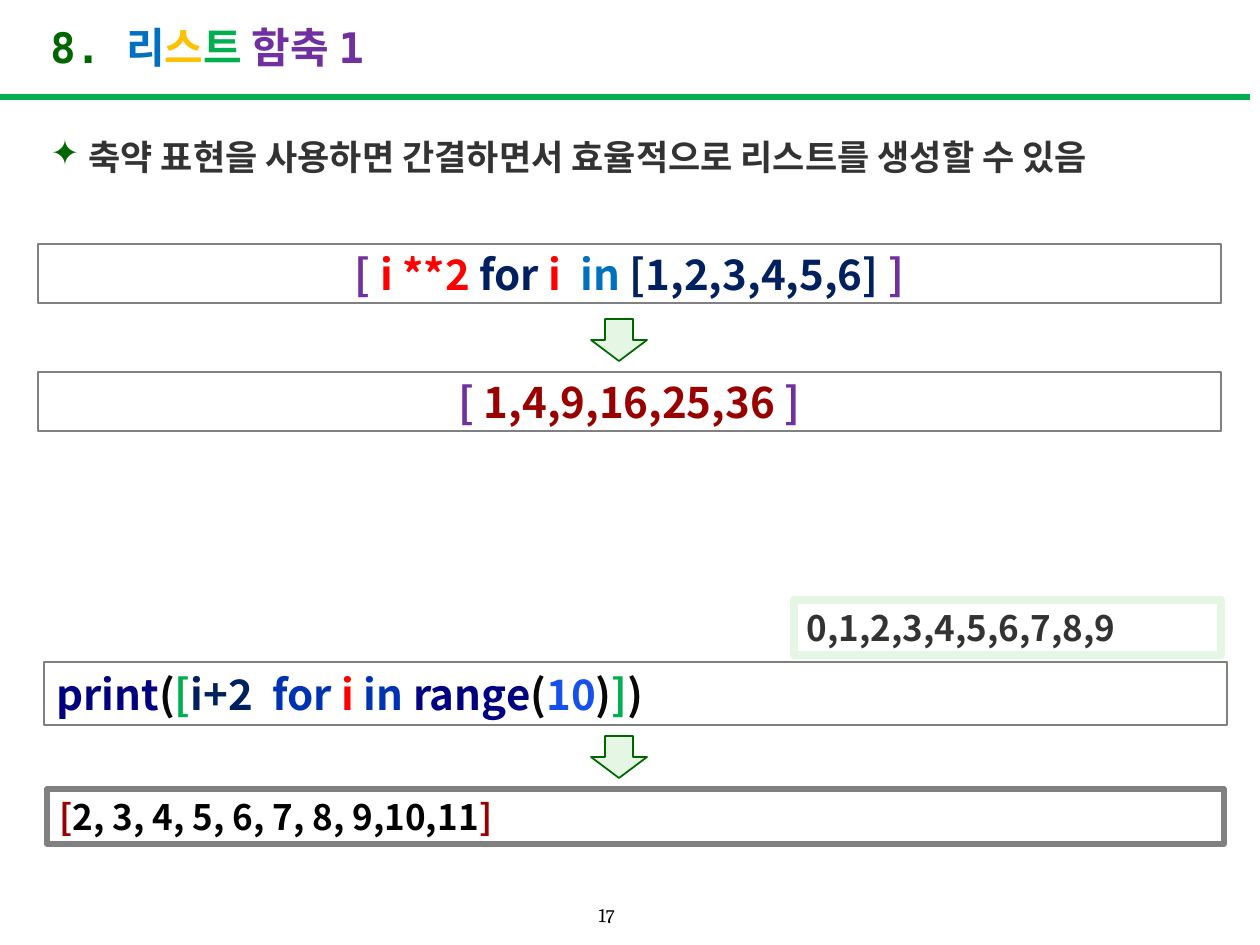
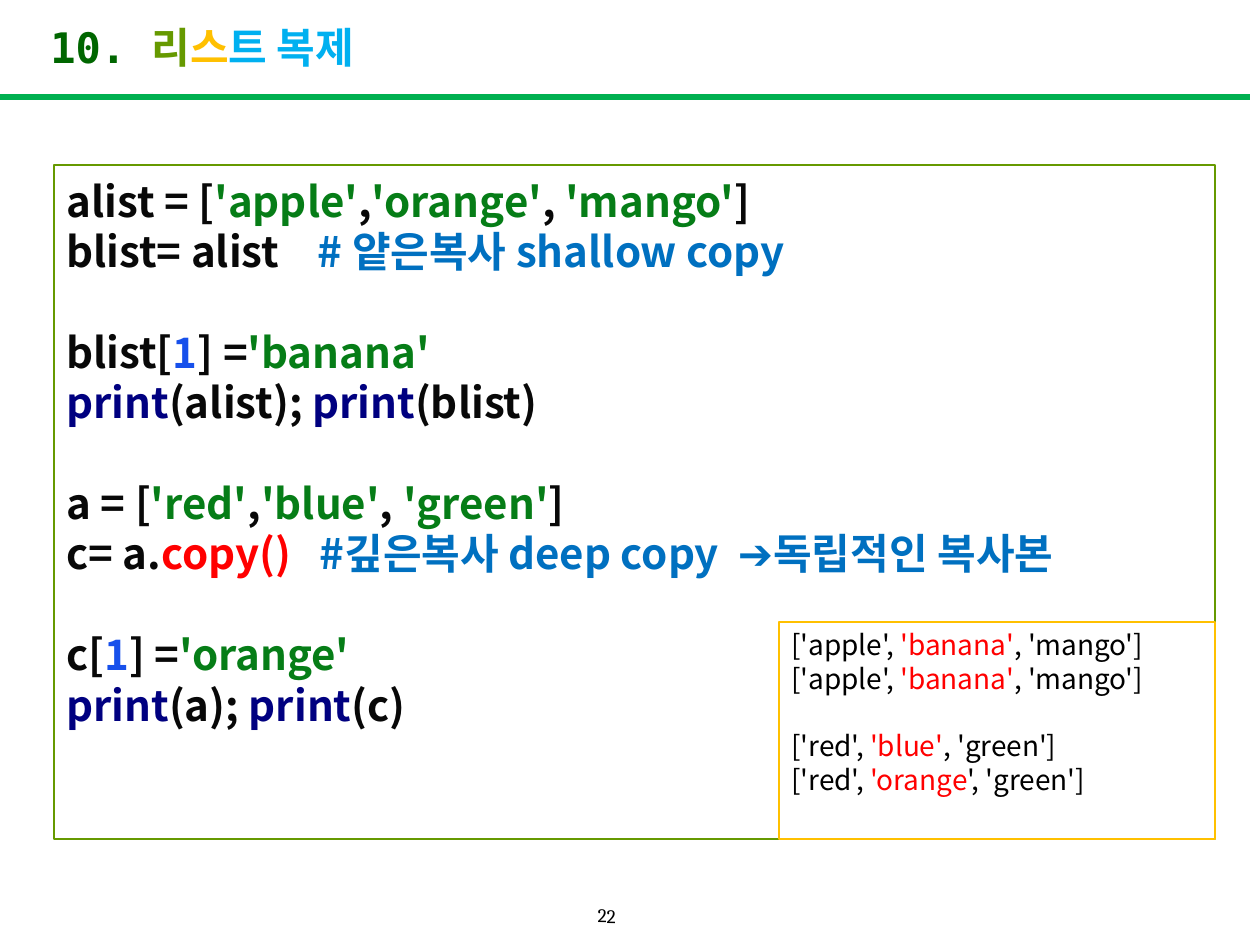
from dataclasses import dataclass

from lxml import etree
from pptx import Presentation
from pptx import util as u
from pptx.dml.color import RGBColor
from pptx.enum import shapes, text
from pptx.oxml import ns

DPI = 126
WIDE, HIGH = 1260, 945


@dataclass(frozen=True)
class Theme:
    sans: str = "Noto Sans CJK KR"
    mono: str = "DejaVu Sans Mono"
    serif: str = "Cambria"
    big: int = 24
    mid: int = 20
    small: int = 16
    foot: int = 11
    lead: float = 1.2
    black: str = "000000"
    ink: str = "080808"
    dark: str = "333333"
    gray: str = "808080"
    white: str = "FFFFFF"
    mint: str = "E5F6E4"
    pine: str = "006600"
    olive: str = "669900"
    green: str = "00B050"
    quote: str = "067D17"
    gold: str = "FFC000"
    red: str = "FF0000"
    wine: str = "990000"
    purple: str = "7030A0"
    sky: str = "00B0F0"
    blue: str = "0070C0"
    navy: str = "002060"
    call: str = "000080"
    key: str = "0033B3"
    digit: str = "1750EB"


T = Theme()
MID, TOP = text.MSO_ANCHOR.MIDDLE, text.MSO_ANCHOR.TOP
LEFT, CENTER = text.PP_ALIGN.LEFT, text.PP_ALIGN.CENTER


def px(n):
    return u.Emu(round(n * 914400 / DPI))


def rgb(code):
    return RGBColor.from_string(code)


def write(para, parts, size, font=T.sans, bold=True):
    for words, color in parts:
        run = para.add_run()
        run.text = words
        run.font.size = u.Pt(size)
        run.font.name = font
        run.font.bold = bold
        run.font.color.rgb = rgb(color)
        east = etree.SubElement(run.font._element, ns.qn("a:ea"))
        east.set("typeface", T.sans)


def label(slide, area, parts, size, font=T.sans, bold=True, align=LEFT, anchor=MID):
    shape = slide.shapes.add_textbox(*map(px, area))
    frame = shape.text_frame
    frame.word_wrap = True
    frame.vertical_anchor = anchor
    para = frame.paragraphs[0]
    para.alignment = align
    write(para, parts, size, font, bold)
    return shape


def block(slide, kind, area, line, width, fill=None):
    shape = slide.shapes.add_shape(kind, *map(px, area))
    shape.shadow.inherit = False
    shape.line.color.rgb = rgb(line)
    shape.line.width = u.Pt(width)
    if fill:
        shape.fill.solid()
        shape.fill.fore_color.rgb = rgb(fill)
    else:
        shape.fill.background()
    return shape


def box(slide, area, line, width, fill=None, anchor=MID):
    shape = block(slide, shapes.MSO_SHAPE.RECTANGLE, area, line, width, fill)
    frame = shape.text_frame
    frame.word_wrap = True
    frame.vertical_anchor = anchor
    return frame


def single(slide, area, parts, size, line, width, fill=None, align=LEFT):
    para = box(slide, area, line, width, fill).paragraphs[0]
    para.alignment = align
    write(para, parts, size)


def listing(slide, area, groups, size, line, bold, inset):
    frame = box(slide, area, line, 0.75, anchor=TOP)
    frame.margin_top = px(inset)
    pitch = u.Pt(size * T.lead)
    para = None
    for group in groups:
        for row, parts in enumerate(group):
            first = para is None
            para = frame.paragraphs[0] if first else frame.add_paragraph()
            para.alignment = LEFT
            para.line_spacing = pitch
            if row == 0 and not first:
                para.space_before = pitch
            write(para, parts, size, bold=bold)


def arrow(slide, left, top):
    block(slide, shapes.MSO_SHAPE.DOWN_ARROW, (left, top, 56, 42), T.pine, 1, T.mint)


def point(slide, area, words):
    shape = label(slide, area, [(words, T.dark)], T.mid,
                  align=text.PP_ALIGN.JUSTIFY, anchor=TOP)
    para = shape.text_frame.paragraphs[0]
    para.line_spacing = 1.3
    para.space_before = u.Pt(18)
    props = para._p.get_or_add_pPr()
    props.set("marL", str(px(38)))
    props.set("indent", str(px(-38)))
    tint = etree.SubElement(props, ns.qn("a:buClr"))
    etree.SubElement(tint, ns.qn("a:srgbClr")).set("val", T.pine)
    etree.SubElement(props, ns.qn("a:buChar")).set("char", "✦")


def page(deck, number, title):
    slide = deck.slides.add_slide(deck.slide_layouts[6])
    rule = slide.shapes.add_connector(
        shapes.MSO_CONNECTOR.STRAIGHT, px(0), px(97), px(1250), px(97))
    rule.line.color.rgb = rgb(T.green)
    rule.line.width = u.Pt(3)
    etree.SubElement(rule._element.spPr, ns.qn("a:effectLst"))
    foot = label(slide, (575, 896, 64, 39), [(number, T.black)], T.foot,
                 T.serif, False, CENTER)
    foot.rotation = 1
    label(slide, (38, 10, 702, 74), title, T.big, T.mono)
    return slide


def short(deck):
    slide = page(deck, "17", [
        ("8.", T.pine), (" 리", T.blue), ("스", T.gold), ("트 ", T.green),
        ("함축 1", T.purple)])
    point(slide, (38, 117, 1138, 87),
          "축약 표현을 사용하면 간결하면서 효율적으로 리스트를 생성할 수 있음")
    query = [("[ ", T.purple), ("i **2 ", T.red), ("for ", T.navy), ("i", T.red),
             ("  in ", T.blue), ("[1,2,3,4,5,6] ", T.navy), ("]", T.purple)]
    result = [("[ ", T.purple), ("1,4,9,16,25,36 ", T.wine), ("]", T.purple)]
    for top, parts in ((244, query), (372, result)):
        single(slide, (38, top, 1183, 59), parts, T.big, T.gray, 1, align=CENTER)
    arrow(slide, 591, 319)
    single(slide, (44, 662, 1183, 63), [
        ("print", T.call), ("(", T.ink), ("[", T.green), ("i+2  ", T.navy),
        ("for ", T.key), ("i ", T.red), ("in ", T.key), ("range", T.call),
        ("(", T.ink), ("10", T.digit), (")", T.ink), ("]", T.green), (")", T.ink),
    ], T.big, T.gray, 0.75)
    single(slide, (47, 789, 1177, 55), [
        ("[", T.wine), ("2, 3, 4, 5, 6, 7, 8, 9,10,11", T.black), ("]", T.wine),
    ], T.mid, T.gray, 3)
    single(slide, (794, 600, 427, 55), [("0,1,2,3,4,5,6,7,8,9", T.dark)],
           T.mid, T.mint, 4.5, T.white)
    arrow(slide, 591, 736)


def fruit(name, items):
    first, second, third = items
    return [(f"{name} = [", T.ink), (first, T.quote), (",", T.ink),
            (second, T.quote), (", ", T.ink), (third, T.quote), ("]", T.ink)]


def change(name, value):
    return [(f"{name}[", T.ink), ("1", T.digit), ("] =", T.ink), (value, T.quote)]


def show(left, right):
    return [("print", T.call), (f"({left}); ", T.ink),
            ("print", T.call), (f"({right})", T.ink)]


def output(head, mark, tail):
    return [(head, T.black), (mark, T.red), (tail, T.black)]


def clone(deck):
    slide = page(deck, "22", [
        ("10. ", T.pine), ("리", T.olive), ("스", T.gold), ("트 복제", T.sky)])
    code = [
        [fruit("alist", ("'apple'", "'orange'", "'mango'")),
         [("blist= alist    ", T.ink), ("# 얕은복사 shallow copy", T.blue)]],
        [change("blist", "'banana'"), show("alist", "blist")],
        [fruit("a", ("'red'", "'blue'", "'green'")),
         [("c= a.", T.ink), ("copy()   ", T.red),
          ("#깊은복사 deep copy  ➔독립적인 복사본", T.blue)]],
        [change("c", "'orange'"), show("a", "c")],
    ]
    listing(slide, (54, 165, 1161, 674), code, T.big, T.olive, True, 10)
    shared = output("['apple', ", "'banana'", ", 'mango']")
    printed = [
        [shared, shared],
        [output("['red', ", "'blue'", ", 'green']"),
         output("['red', ", "'orange", "', 'green']")],
    ]
    listing(slide, (779, 622, 436, 217), printed, T.small, T.gold, False, 6)


def main():
    deck = Presentation()
    deck.slide_width, deck.slide_height = px(WIDE), px(HIGH)
    short(deck)
    clone(deck)
    deck.save("out.pptx")


if __name__ == "__main__":
    main()
